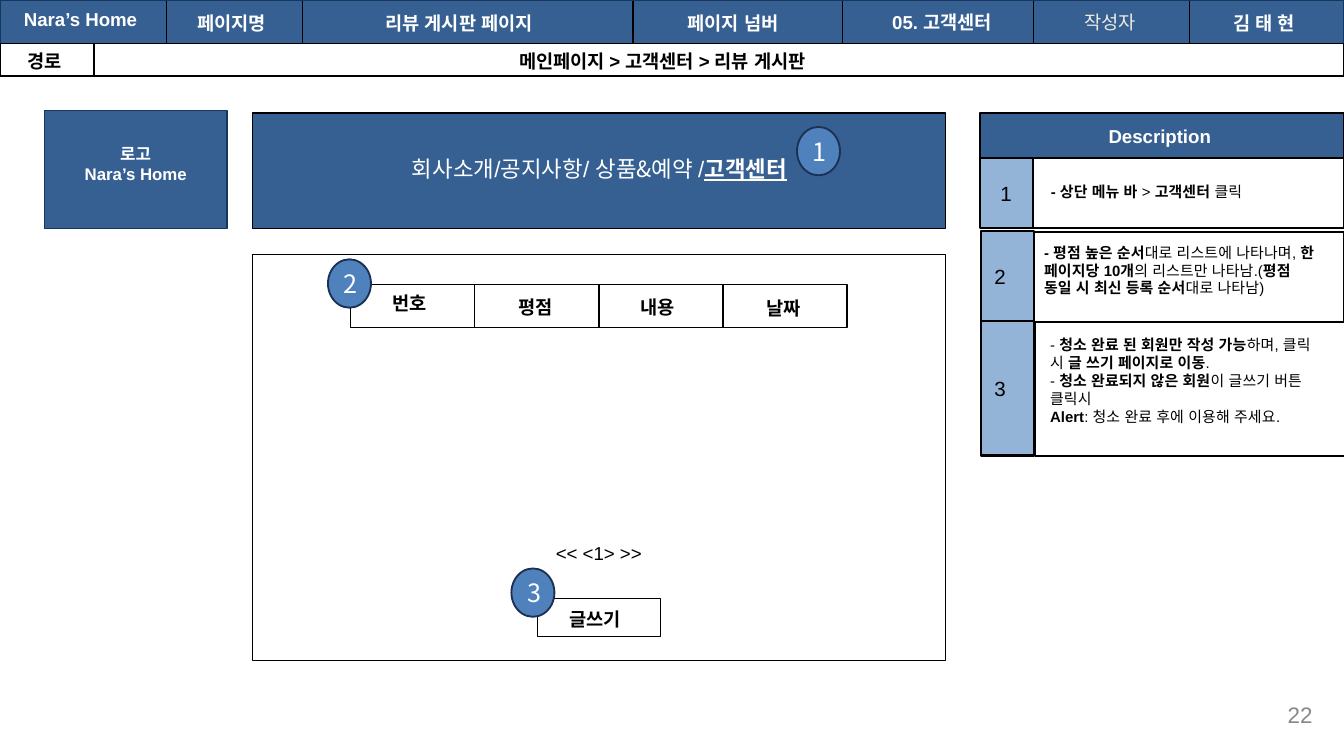
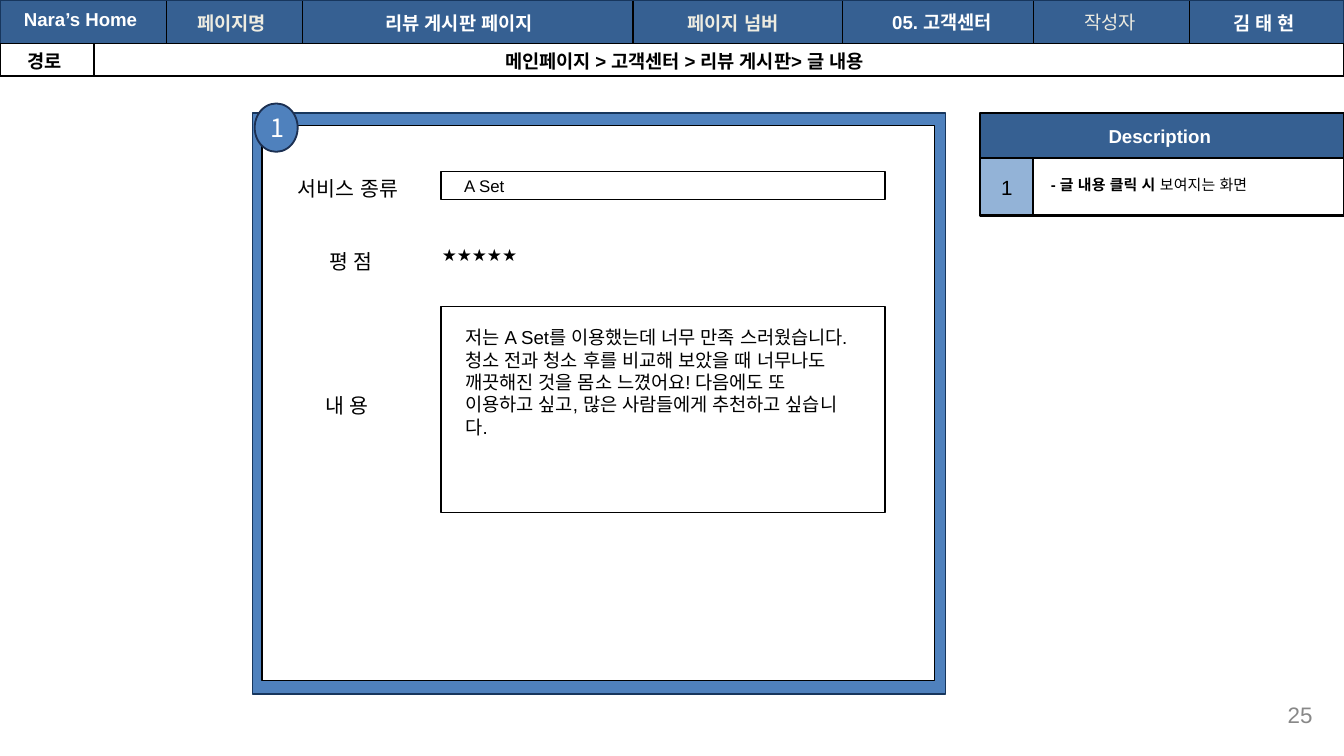
from dataclasses import dataclass
from typing import Optional

from lxml import etree
from pptx import Presentation
from pptx.dml.color import RGBColor
from pptx.enum.shapes import MSO_CONNECTOR, MSO_SHAPE
from pptx.enum.text import MSO_ANCHOR, MSO_AUTO_SIZE, PP_ALIGN
from pptx.oxml.ns import qn
from pptx.util import Emu, Inches, Pt

RECT, OVAL = MSO_SHAPE.RECTANGLE, MSO_SHAPE.OVAL
STRAIGHT = MSO_CONNECTOR.STRAIGHT
TOP, MIDDLE = MSO_ANCHOR.TOP, MSO_ANCHOR.MIDDLE
LEFT, CENTER, RIGHT = PP_ALIGN.LEFT, PP_ALIGN.CENTER, PP_ALIGN.RIGHT
NO_FIT = MSO_AUTO_SIZE.NONE
TITLE_ONLY = 5

SLIDE_W = Inches(10)
SLIDE_H = SLIDE_W * 9 // 16
CELL = SLIDE_W // 100  # square grid: 100 columns, 56.25 rows


@dataclass(frozen=True)
class Theme:
    navy: str = "366092"
    navy_edge: str = "17365D"
    blue: str = "4F81BD"
    badge_edge: str = "1C3052"
    sky: str = "93B3D7"
    cream: str = "EEECE1"
    white: str = "FFFFFF"
    black: str = "000000"
    gray: str = "888888"
    font: str = "Arial"
    korean: str = "Noto Sans CJK KR"
    note: float = 8
    small: float = 9
    body: float = 10
    label: float = 11
    menu: float = 12
    badge: float = 13.5
    thin: float = 0.75
    badge_line: float = 1
    thick: float = 1.25


T = Theme()


@dataclass(frozen=True)
class Box:
    """Place and size in grid cells."""
    col: float
    row: float
    cols: float
    rows: float

    def emu(self) -> list[Emu]:
        return [Emu(round(v * CELL)) for v in (self.col, self.row, self.cols, self.rows)]


@dataclass(frozen=True)
class Run:
    text: str
    bold: bool = False
    underline: bool = False
    font: str = T.font


@dataclass(frozen=True)
class Style:
    size: float = T.body
    color: str = T.black
    bold: bool = False
    align: PP_ALIGN = LEFT
    anchor: MSO_ANCHOR = TOP
    font: str = T.font
    inset: tuple[float, float] = (1, 1)  # sides, top and bottom


@dataclass(frozen=True)
class Label:
    text: str
    box: Box
    style: Style


@dataclass(frozen=True)
class Note:
    """One row of the description panel; *stars* mark bold text."""
    number: str
    number_cell: Box
    body_cell: Box
    body_box: Box
    lines: tuple[str, ...]
    number_box: Optional[Box] = None


@dataclass(frozen=True)
class Page:
    route: str
    route_box: Box
    number: str
    caption_color: str
    notes: tuple[Note, ...]
    badges: tuple[tuple[float, float], ...]


HEAD = Style(color=T.white, bold=True)
STRONG = Style(bold=True)
NOTE = Style(T.note)
FIELD = Style(T.label)
NUMBER = Style(T.label, anchor=MIDDLE)
BADGE = Style(T.badge, T.white, align=CENTER, anchor=MIDDLE, font=T.korean, inset=(0.7, 0.4))
LOGO = Style(T.small, T.white, True, CENTER, inset=(1, 2.5))
MENU = Style(T.menu, T.white, align=CENTER)
PAGE_NO = Style(T.menu, T.gray, align=RIGHT, anchor=MIDDLE)

BAND = Box(0, 0.05, 100, 3.2)
ROUTE_BAND = Box(0, 3.25, 100, 2.4)
BAND_EDGES = (12.4, 22.5, 47.1, 62.7, 76.9, 88.5)
TITLE = Label("리뷰 게시판 페이지", Box(27.7, -0.1, 19.7, 3.5), HEAD)
BRAND = "Nara’s Home"


def marked(text: str) -> list[Run]:
    parts = text.split("*")
    return [Run(part, bold=i % 2 == 1) for i, part in enumerate(parts) if part]


def write(sp, paragraphs: list[list[Run]], style: Style) -> None:
    tf = sp.text_frame
    tf.word_wrap = True
    tf.auto_size = NO_FIT
    tf.vertical_anchor = style.anchor
    side, end = (Emu(round(v * CELL)) for v in style.inset)
    tf.margin_left = tf.margin_right = side
    tf.margin_top = tf.margin_bottom = end
    for i, runs in enumerate(paragraphs):
        p = tf.add_paragraph() if i else tf.paragraphs[0]
        p.alignment = style.align
        p._p.get_or_add_pPr().set("hangingPunct", "0")
        for run in runs:
            r = p.add_run()
            r.text = run.text
            font = r.font
            font.size = Pt(style.size)
            font.bold = style.bold or run.bold
            font.underline = run.underline
            font.color.rgb = RGBColor.from_string(style.color)
            font.name = style.font if run.font == T.font else run.font
            east_asian = etree.SubElement(r.font._element, qn("a:ea"))
            east_asian.set("typeface", font.name)


def plain(text: str) -> list[list[Run]]:
    return [[Run(line)] for line in text.split("\n")]


def add_runs(s, paragraphs: list[list[Run]], box: Box, style: Style) -> None:
    write(s.shapes.add_textbox(*box.emu()), paragraphs, style)


def add_text(s, text: str, box: Box, style: Style) -> None:
    add_runs(s, plain(text), box, style)


def add_box(s, box: Box, fill: Optional[str] = T.white, line: str = T.black,
            width: float = T.thin, kind: MSO_SHAPE = RECT):
    sp = s.shapes.add_shape(kind, *box.emu())
    sp.shadow.inherit = False
    if fill:
        sp.fill.solid()
        sp.fill.fore_color.rgb = RGBColor.from_string(fill)
    else:
        sp.fill.background()
    sp.line.color.rgb = RGBColor.from_string(line)
    sp.line.width = Pt(width)
    return sp


def add_divider(s, col: float, band: Box) -> None:
    x, y, _, h = Box(col, band.row, 0, band.rows).emu()
    line = s.shapes.add_connector(STRAIGHT, x, y, x, y + h)
    line.line.color.rgb = RGBColor.from_string(T.black)
    line.line.width = Pt(T.thin)
    etree.SubElement(line._element.spPr, qn("a:effectLst"))


def add_title(s) -> None:
    """Place the title in the header, in front of the band."""
    title = s.shapes.title
    title.left, title.top, title.width, title.height = TITLE.box.emu()
    write(title, plain(TITLE.text), TITLE.style)
    title.element.getparent().append(title.element)


def add_header(s, page: Page) -> None:
    caption = Style(color=page.caption_color, bold=True)
    add_box(s, BAND, T.navy, T.navy_edge)
    add_box(s, ROUTE_BAND)
    for col in BAND_EDGES:
        add_divider(s, col, BAND)
    add_divider(s, 7, ROUTE_BAND)
    add_title(s)
    for label in (
        Label(BRAND, Box(0.8, -0.2, 10.8, 1.5), HEAD),
        Label("페이지명", Box(13.7, -0.1, 8.3, 3.5), caption),
        Label("페이지 넘버", Box(50.2, -0.1, 10.3, 3.5), caption),
        Label("05. 고객센터", Box(65.4, -0.2, 10.3, 3.5), HEAD),
        Label("작성자", Box(79.7, -0.2, 7.1, 3.5), Style(color=T.cream)),
        Label("김 태 현", Box(90.8, -0.1, 7.9, 3.5), HEAD),
        Label("경로", Box(1.1, 2.7, 5.4, 3.5), STRONG),
        Label(page.route, page.route_box, STRONG),
    ):
        add_text(s, label.text, label.box, label.style)


def add_description(s, notes: tuple[Note, ...]) -> None:
    add_box(s, Box(72.9, 8.4, 27.1, 3.35), T.navy, width=T.thick)
    add_text(s, "Description", Box(81.5, 8.3, 9.9, 2.3), HEAD)
    for note in notes:
        add_box(s, note.body_cell, None, width=T.thick)
        cell = add_box(s, note.number_cell, T.sky, width=T.thick)
        if note.number_box:
            add_text(s, note.number, note.number_box, FIELD)
        else:
            write(cell, plain(note.number), NUMBER)
        add_runs(s, [marked(line) for line in note.lines], note.body_box, NOTE)


def add_badges(s, places: tuple[tuple[float, float], ...]) -> None:
    for number, (col, row) in enumerate(places, 1):
        sp = add_box(s, Box(col, row, 3.2, 3.6), T.blue, T.badge_edge, T.badge_line, OVAL)
        write(sp, plain(str(number)), BADGE)


def draw_board(s) -> None:
    """Review list: menu bar, column heads, pager and write button."""
    add_box(s, Box(18.8, 8.4, 51.55, 8.6), T.navy)
    write(add_box(s, Box(3.3, 8.2, 13.6, 8.8), T.navy, T.navy_edge), plain(f"로고\n{BRAND}"), LOGO)
    menu = [Run("회사소개/공지사항/ "), Run("상품&예약 ", font=T.korean), Run("/"),
            Run("고객센터", bold=True, underline=True)]
    add_runs(s, [menu], Box(19.5, 10.55, 50.2, 3.7), MENU)
    add_box(s, Box(18.8, 18.95, 51.55, 30.2))
    heads = (("번호", Box(28.2, 21, 4.8, 1.5)), ("평점", Box(37.6, 21, 5.4, 2.4)),
             ("내용", Box(46.7, 21, 6.3, 2.8)), ("날짜", Box(56.05, 21.1, 5.4, 2.4)))
    for i in range(len(heads)):
        add_box(s, Box(26.1 + 9.23 * i, 21.15, 9.23, 3.2))
    for text, box in heads:
        add_text(s, text, box, STRONG)
    add_box(s, Box(40, 44.55, 9.15, 2.8))
    add_text(s, "글쓰기", Box(41.4, 44.2, 6.4, 2.4), STRONG)
    add_text(s, "<< <1> >>", Box(39.15, 39.35, 10.8, 2.4), Style(align=CENTER))


def draw_review(s) -> None:
    """Single review: service, rating and content."""
    add_box(s, Box(18.8, 8.4, 51.55, 43.25), T.blue, T.navy_edge)
    add_box(s, Box(19.5, 9.35, 50.05, 41.3))
    for row, rows in ((12.75, 2.1), (22.8, 15.35)):
        add_box(s, Box(32.8, row, 33.05, rows))
    review = ("저는 A Set를 이용했는데 너무 만족 스러웠습니다. 청소 전과 청소 후를 비교해 보았을 때 "
              "너무나도 깨끗해진 것을 몸소 느꼈어요! 다음에도 또 이용하고 싶고, "
              "많은 사람들에게 추천하고 싶습니다.")
    for label in (
        Label("서비스 종류", Box(21.15, 12.1, 11.3, 2.1), FIELD),
        Label("평 점", Box(23.5, 17.5, 6.5, 2.3), FIELD),
        Label("내 용", Box(23.2, 28.25, 7.1, 2.8), FIELD),
        Label("A Set", Box(33.55, 12.1, 6.5, 2.8), Style(T.small)),
        Label("★★★★★", Box(31.9, 17.2, 8.3, 3.3), Style(T.small)),
        Label(review, Box(33.65, 23.25, 31.1, 13.8), Style()),
    ):
        add_text(s, label.text, label.box, label.style)


BOARD = Page(
    "메인페이지 > 고객센터 > 리뷰 게시판", Box(37.65, 2.7, 30.3, 2.3), "22", T.white,
    (
        Note("1", Box(72.9, 11.75, 3.95, 5.2), Box(76.85, 11.75, 23.15, 5.2),
             Box(77.2, 12.6, 22.5, 3.2), ("*- 상단 메뉴 바* > *고객센터* 클릭",),
             Box(73.45, 12.5, 2.8, 2.8)),
        Note("2", Box(73, 17.2, 3.95, 6.7), Box(76.95, 17.25, 23.1, 6.7),
             Box(76.7, 17.1, 22.2, 10.9),
             ("*- 평점 높은 순서*대로 리스트에 나타나며, *한 페이지당 10개*의 리스트만 나타남."
              "(*평점 동일 시 최신 등록 순서*대로 나타남)",)),
        Note("3", Box(73, 23.9, 3.95, 10), Box(77, 23.95, 23.1, 10),
             Box(77.15, 24, 22.2, 8.8),
             ("-* 청소 완료 된 회원만 작성 가능*하며, 클릭 시 *글 쓰기 페이지로 이동*.",
              "- *청소 완료되지 않은 회원*이 글쓰기 버튼 클릭시",
              "*Alert*: 청소 완료 후에 이용해 주세요.")),
    ),
    ((59.3, 9.45), (24.4, 19.3), (38.05, 42.3)),
)
REVIEW = Page(
    "메인페이지 > 고객센터 > 리뷰 게시판> 글 내용", Box(36.6, 2.7, 31.9, 2.3), "25", T.cream,
    (
        Note("1", Box(72.9, 11.75, 3.95, 4.3), Box(76.85, 11.75, 23.15, 4.3),
             Box(77.2, 12.1, 22.5, 3.9), ("*- 글 내용 클릭 시* 보여지는 화면",),
             Box(73.5, 12, 2.8, 2.8)),
    ),
    ((18.95, 7.7),),
)


def main() -> None:
    prs = Presentation()
    prs.slide_width, prs.slide_height = SLIDE_W, SLIDE_H
    for page, draw_content in ((BOARD, draw_board), (REVIEW, draw_review)):
        s = prs.slides.add_slide(prs.slide_layouts[TITLE_ONLY])
        add_header(s, page)
        draw_content(s)
        add_description(s, page.notes)
        add_badges(s, page.badges)
        add_text(s, page.number, Box(92.65, 51.05, 6, 4.3), PAGE_NO)
    prs.save("out.pptx")


if __name__ == "__main__":
    main()
